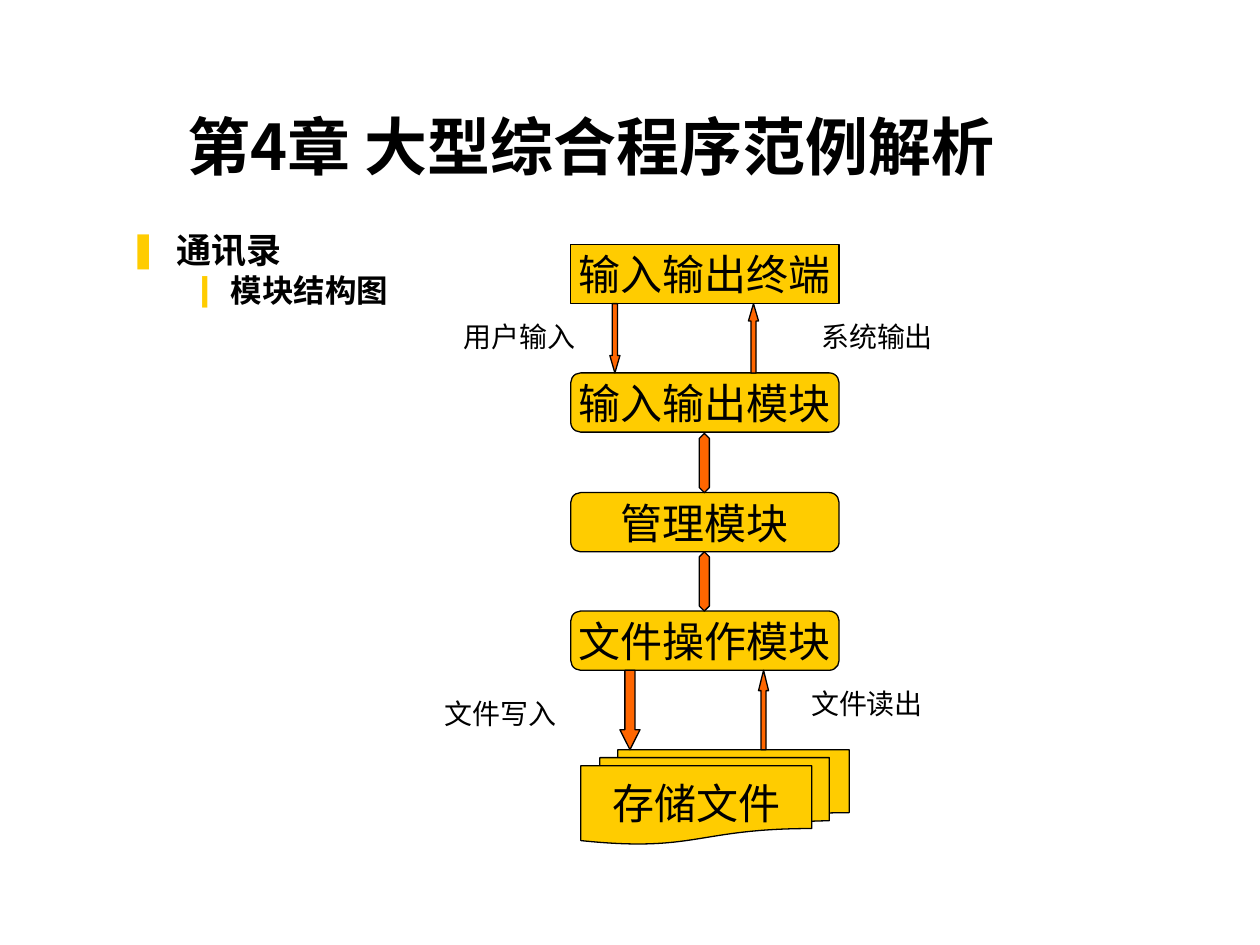
from lxml import etree
from pptx import Presentation
from pptx.dml.color import RGBColor
from pptx.enum.shapes import MSO_SHAPE
from pptx.enum.text import MSO_ANCHOR, MSO_AUTO_SIZE, PP_ALIGN
from pptx.oxml.ns import qn
from pptx.util import Inches, Pt

BLACK = RGBColor(0x00, 0x00, 0x00)
YELLOW = RGBColor(0xFF, 0xCC, 0x00)
ORANGE = RGBColor(0xFF, 0x66, 0x00)
HEADING_FONT = "Noto Sans CJK SC"
TEXT_FONT = "Times New Roman"
RECTANGLE = MSO_SHAPE.RECTANGLE
ROUNDED = MSO_SHAPE.FLOWCHART_ALTERNATE_PROCESS
DOCUMENTS = MSO_SHAPE.FLOWCHART_MULTIDOCUMENT
DOWN = MSO_SHAPE.DOWN_ARROW
UP = MSO_SHAPE.UP_ARROW
UP_DOWN = MSO_SHAPE.UP_DOWN_ARROW
MIDDLE, BOTTOM = MSO_ANCHOR.MIDDLE, MSO_ANCHOR.BOTTOM
CENTER, JUSTIFY = PP_ALIGN.CENTER, PP_ALIGN.JUSTIFY
NO_AUTOFIT, GROW = MSO_AUTO_SIZE.NONE, MSO_AUTO_SIZE.SHAPE_TO_FIT_TEXT


def format_runs(para, size, font=TEXT_FONT, bold=False):
    for run in para.runs:
        run.font.name = font
        run.font.size = Pt(size)
        run.font.bold = bold
        run.font.color.rgb = BLACK
        east_asian = etree.SubElement(run.font._element, qn("a:ea"))
        east_asian.set("typeface", HEADING_FONT)


def add_filled_shape(kind, left, top, width, height, color):
    shape = slide.shapes.add_shape(
        kind, Inches(left), Inches(top), Inches(width), Inches(height))
    shape.shadow.inherit = False
    shape.fill.solid()
    shape.fill.fore_color.rgb = color
    shape.line.color.rgb = BLACK
    shape.line.width = Pt(0.75)
    return shape


deck = Presentation()
deck.slide_width, deck.slide_height = Inches(10), Inches(7.5)
slide = deck.slides.add_slide(deck.slide_layouts[1])

# Title
title = slide.shapes.title
title.left, title.top = Inches(0.44), Inches(0.25)
title.width, title.height = Inches(8.5), Inches(1.25)
title.text_frame.text = "第4章 大型综合程序范例解析"
title.text_frame.auto_size = NO_AUTOFIT
title.text_frame.vertical_anchor = BOTTOM
title.text_frame.paragraphs[0].alignment = CENTER
format_runs(title.text_frame.paragraphs[0], 36, HEADING_FONT, True)

# Bulleted list
body = slide.placeholders[1]
body.left, body.top = Inches(0.92), Inches(1.83)
body.width, body.height = Inches(5.17), Inches(0.69)
body.text_frame.text = "通讯录\n模块结构图"
body.text_frame.auto_size = NO_AUTOFIT
# size, space before, left margin, hanging indent, bullet
levels = [(20, 0, 0.38, 0.38, "❚"), (18, 4.5, 0.81, 0.31, "❙")]
for level, (para, settings) in enumerate(zip(body.text_frame.paragraphs, levels)):
    size, space_before, margin, hanging, bullet = settings
    properties = para._p.get_or_add_pPr()
    properties.set("marL", str(Inches(margin)))
    properties.set("indent", str(-Inches(hanging)))
    bullet_color = etree.SubElement(properties, qn("a:buClr"))
    etree.SubElement(bullet_color, qn("a:srgbClr")).set("val", str(YELLOW))
    etree.SubElement(properties, qn("a:buChar")).set("char", bullet)
    para.level = level
    para.alignment = JUSTIFY
    para.line_spacing = 0.8
    para.space_before = Pt(space_before)
    format_runs(para, size, bold=True)

# Modules from top to bottom
modules = [
    ("输入输出终端", RECTANGLE, 4.53, 1.94, 0.47),
    ("输入输出模块", ROUNDED, 4.53, 2.96, 0.47),
    ("管理模块", ROUNDED, 4.53, 3.91, 0.47),
    ("文件操作模块", ROUNDED, 4.53, 4.85, 0.47),
    ("存储文件", DOCUMENTS, 4.61, 5.95, 0.75),
]
for text, kind, left, top, height in modules:
    module = add_filled_shape(kind, left, top, 2.13, height, YELLOW)
    frame = module.text_frame
    frame.text = text
    frame.word_wrap = False
    frame.vertical_anchor = MIDDLE
    frame.paragraphs[0].alignment = CENTER
    format_runs(frame.paragraphs[0], 24)

# Block arrows between the modules, with the length of the head
arrows = [
    (DOWN, 4.84, 2.41, 0.08, 0.55, 1.72),
    (UP, 5.94, 2.41, 0.08, 0.55, 1.72),
    (UP_DOWN, 5.55, 3.44, 0.08, 0.47, 1.2),
    (UP_DOWN, 5.55, 4.38, 0.08, 0.47, 1.2),
    (DOWN, 4.92, 5.32, 0.16, 0.63, 0.99),
    (UP, 6.02, 5.32, 0.08, 0.63, 2.02),
]
for kind, left, top, width, height, head in arrows:
    arrow = add_filled_shape(kind, left, top, width, height, ORANGE)
    arrow.adjustments[0] = 0.5
    arrow.adjustments[1] = head

# Data flow labels
labels = [
    ("用户输入", 3.58, 2.49),
    ("系统输出", 6.42, 2.49),
    ("文件写入", 3.43, 5.48),
    ("文件读出", 6.34, 5.4),
]
for text, left, top in labels:
    label = slide.shapes.add_textbox(
        Inches(left), Inches(top), Inches(1.54), Inches(0.37))
    label.text_frame.text = text
    label.text_frame.word_wrap = True
    label.text_frame.auto_size = GROW
    format_runs(label.text_frame.paragraphs[0], 16)

deck.save("out.pptx")
